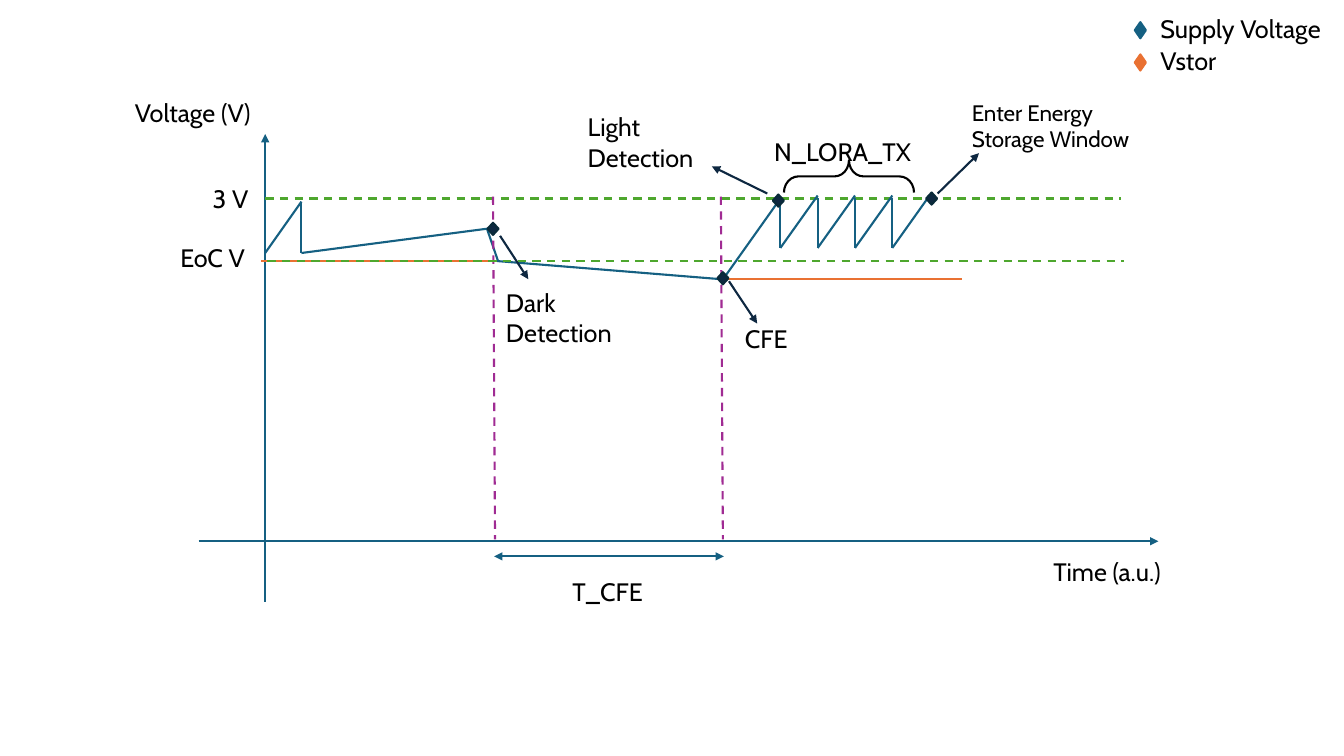
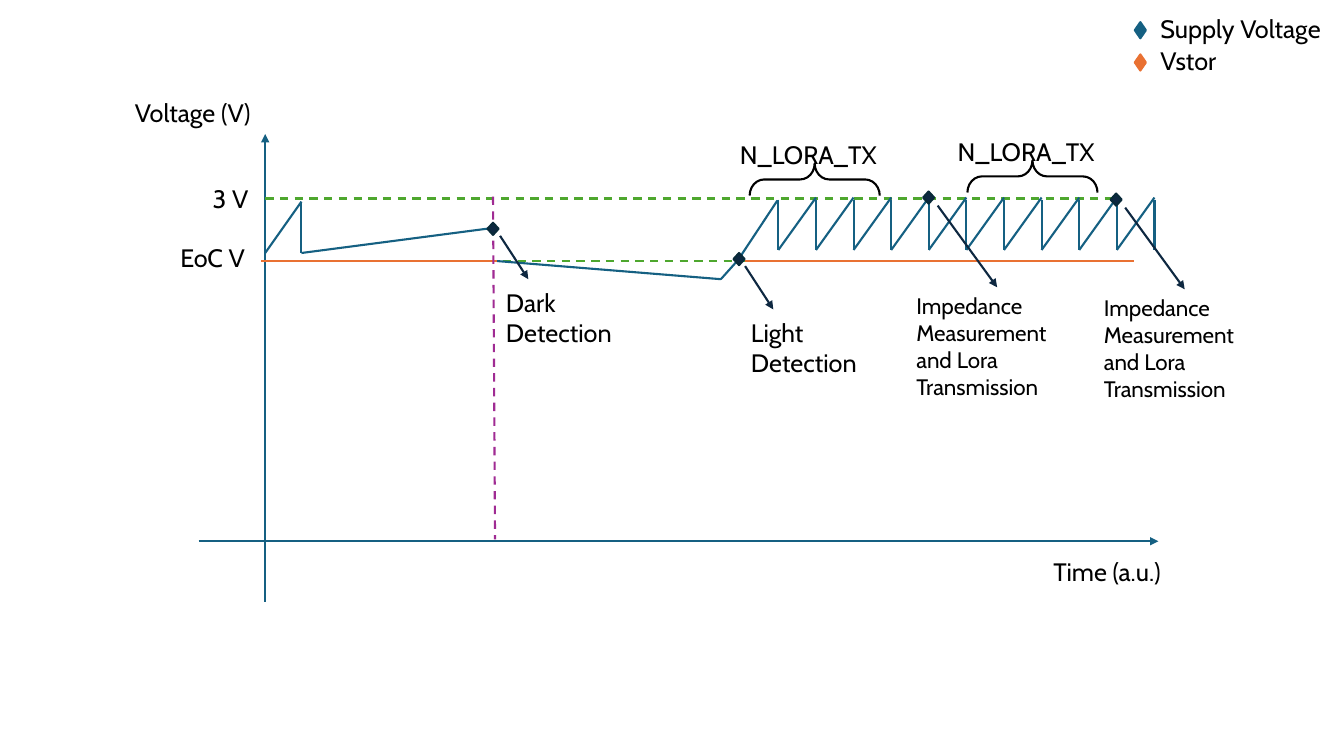
from dataclasses import dataclass

from pptx import Presentation
from pptx import util as u
from pptx.dml.color import RGBColor
from pptx.enum import dml, shapes, text
from pptx.oxml import ns, xmlchemy
from pptx.oxml import parse_xml


@dataclass(frozen=True)
class Theme:
    font: str = "Cabin"
    label_size: int = 18
    note_size: int = 16
    line_width: float = 1.5
    ink: str = "000000"
    supply: str = "156082"
    storage: str = "E97132"
    level: str = "4EA72E"
    moment: str = "A02B93"
    event: str = "0E2841"
    event_edge: str = "092A39"


THEME = Theme()
EOC = 0.62          # depth of the EoC level below the 3 V level
TIME_AXIS = 3.4     # depth of the time axis below the 3 V level
DARK, CFE = 2.26, 4.52


def drawing_element(tag, attributes=""):
    return parse_xml(f"<a:{tag} {ns.nsdecls('a')} {attributes}/>")


@dataclass
class Region:
    """A part of a page; all positions are measured from its origin."""
    page: object
    left: float
    top: float

    def place(self, x, y):
        return u.Inches(self.left + x), u.Inches(self.top + y)

    def line(self, start, end, color, dashed=False, heads=()):
        connector = self.page.shapes.add_connector(
            shapes.MSO_CONNECTOR.STRAIGHT, *self.place(*start), *self.place(*end))
        connector.line.color.rgb = RGBColor.from_string(color)
        connector.line.width = u.Pt(THEME.line_width)
        if dashed:
            connector.line.dash_style = dml.MSO_LINE.DASH
        properties = connector.element.spPr
        outline = properties.find(ns.qn("a:ln"))
        for head in heads:
            outline.append(drawing_element(head, 'type="triangle"'))
        properties.append(drawing_element("effectLst"))

    def arrow(self, start, end, color):
        self.line(start, end, color, heads=("tailEnd",))

    def shape(self, kind, center, width, height, edge, fill=None):
        x, y = center
        item = self.page.shapes.add_shape(
            kind, *self.place(x - width / 2, y - height / 2),
            u.Inches(width), u.Inches(height))
        item.shadow.inherit = False
        item.line.color.rgb = RGBColor.from_string(edge)
        item.line.width = u.Pt(THEME.line_width)
        if fill:
            item.fill.solid()
            item.fill.fore_color.rgb = RGBColor.from_string(fill)
        else:
            item.fill.background()
        return item

    def diamond(self, center, height, edge, fill):
        self.shape(shapes.MSO_SHAPE.DIAMOND, center, 0.11, height, edge, fill)

    def label(self, words, x, y, width, lines=1, size=THEME.label_size):
        box = self.page.shapes.add_textbox(
            *self.place(x, y), u.Inches(width), u.Inches(0.1 + lines * size / 60))
        frame = box.text_frame
        frame.word_wrap = True
        frame.auto_size = text.MSO_AUTO_SIZE.SHAPE_TO_FIT_TEXT
        frame.text = words
        for span in frame.paragraphs[0].runs:
            span.font.name = THEME.font
            span.font.size = u.Pt(size)
            span.font.color.rgb = RGBColor.from_string(THEME.ink)


def add_legend(page, left, top):
    legend = Region(page, left, top)
    entries = (("Supply Voltage", THEME.supply), ("Vstor", THEME.storage))
    for row, (name, color) in enumerate(entries):
        y = row * 0.32
        legend.diamond((0.06, y + 0.22), 0.16, color, color)
        legend.label(name, 0.16, y, 1.84)


def add_axes(plot):
    plot.arrow((0, 4), (0, -0.64), THEME.supply)
    plot.arrow((-0.66, TIME_AXIS), (8.86, TIME_AXIS), THEME.supply)
    plot.label("Time (a.u.)", 7.72, 3.5, 1.39)
    plot.label("Voltage (V)", -1.39, -1.05, 1.39)
    plot.label("3 V", -0.62, -0.2, 0.59)
    plot.label("EoC V", -0.94, 0.39, 0.93)
    plot.line((0, 0), (8.49, 0), THEME.level, dashed=True)


def add_eoc_level(plot):
    plot.line((0.02, EOC), (8.52, EOC), THEME.level, dashed=True)


def add_curve(plot, *points):
    for start, end in zip(points, points[1:]):
        plot.line(start, end, THEME.supply)


def add_moment(plot, x):
    plot.line((x, -0.02), (x + 0.02, 3.38), THEME.moment, dashed=True)


def add_event(plot, center, start, end, words, offset, width=1.52, lines=2,
              size=THEME.label_size):
    """Marker with an arrow to its label, all measured from the marker."""
    around = Region(plot.page, plot.left + center[0], plot.top + center[1])
    around.diamond((0, 0), 0.12, THEME.event_edge, THEME.event)
    around.arrow(start, end, THEME.event)
    around.label(words, *offset, width, lines, size)


def add_sawtooth(plot, left, top, pitch, count):
    """Repeated drop and recharge; returns the final peak."""
    for tooth in range(count):
        x = left + tooth * pitch
        add_curve(plot, (x, top), (x, top + 0.5), (x + pitch, top - 0.02))
    return left + count * pitch, top


def add_burst(plot, left, top):
    """Brace over a run of transmissions, with its name above."""
    brace = plot.shape(shapes.MSO_SHAPE.RIGHT_BRACE, (left + 0.84, top + 0.45),
                       0.32, 1.29, THEME.ink)
    brace.rotation = 270
    brace.adjustments[0] = 0.45
    plot.label("N_LORA_TX", left, top, 1.68)


def add_dark_phase(plot):
    plot.line((-0.04, EOC), (2.31, EOC), THEME.storage)
    add_curve(plot, (0, 0.54), (0.36, 0.03), (0.36, 0.54), (2.27, 0.29))
    add_curve(plot, (2.3, EOC), (CFE, 0.8))
    add_moment(plot, DARK)
    add_event(plot, (DARK, 0.3), (0.07, 0.07), (0.35, 0.5),
              "Dark Detection", (0.03, 0.53))


def add_plot(page):
    add_legend(page, 11.25, 0.08)
    plot = Region(page, 2.63, 1.97)
    add_axes(plot)
    return plot


def build_cold_start(page):
    plot = add_plot(page)
    plot.line((4.55, 0.8), (6.91, 0.8), THEME.storage)
    add_curve(plot, (2.31, EOC), (2.2, 0.3))
    add_dark_phase(plot)
    add_eoc_level(plot)

    # Time until the cold start
    add_moment(plot, CFE)
    plot.line((2.27, 3.55), (4.55, 3.55), THEME.supply, heads=("headEnd", "tailEnd"))
    plot.label("T_CFE", 2.95, 3.7, 0.9)

    # Recharge and transmissions
    add_curve(plot, (4.57, 0.76), (5.11, 0))
    add_sawtooth(plot, 5.11, -0.01, 0.37, 4)
    add_burst(plot, 4.95, -0.67)

    # Events
    add_event(plot, (4.54, 0.79), (0.06, 0.03), (0.34, 0.45),
              "CFE", (0.12, 0.4), width=0.71, lines=1)
    add_event(plot, (5.09, 0.02), (-0.11, -0.07), (-0.66, -0.34),
              "Light Detection", (-1.99, -0.93))
    add_event(plot, (6.61, 0), (0.06, -0.05), (0.47, -0.45),
              "Enter Energy Storage Window", (0.3, -1.04), width=1.95,
              size=THEME.note_size)


def build_early_light(page):
    plot = add_plot(page)
    add_eoc_level(plot)
    add_dark_phase(plot)

    # Recharge and transmissions
    plot.line((4.76, EOC), (8.62, EOC), THEME.storage)
    add_curve(plot, (CFE, 0.8), (4.69, 0.61), (5.08, 0.02))
    x, y = add_sawtooth(plot, 5.09, 0.01, 0.373, 10)
    add_curve(plot, (x, y), (x, y + 0.5))
    add_burst(plot, 4.61, -0.64)
    add_burst(plot, 6.77, -0.67)

    # Events
    add_event(plot, (4.7, 0.6), (0.06, 0.07), (0.34, 0.5),
              "Light Detection", (0.02, 0.53))
    for center in ((6.58, -0.01), (8.44, 0.01)):
        add_event(plot, center, (0.09, 0.08), (0.68, 0.89),
                  "Impedance Measurement and Lora Transmission", (-0.22, 0.89),
                  width=1.8, lines=4, size=THEME.note_size)


def main():
    deck = Presentation()
    deck.slide_width, deck.slide_height = u.Inches(13.33), u.Inches(7.5)
    blank = deck.slide_layouts[6]
    for build in (build_cold_start, build_early_light):
        build(deck.slides.add_slide(blank))
    deck.save("out.pptx")


if __name__ == "__main__":
    main()
